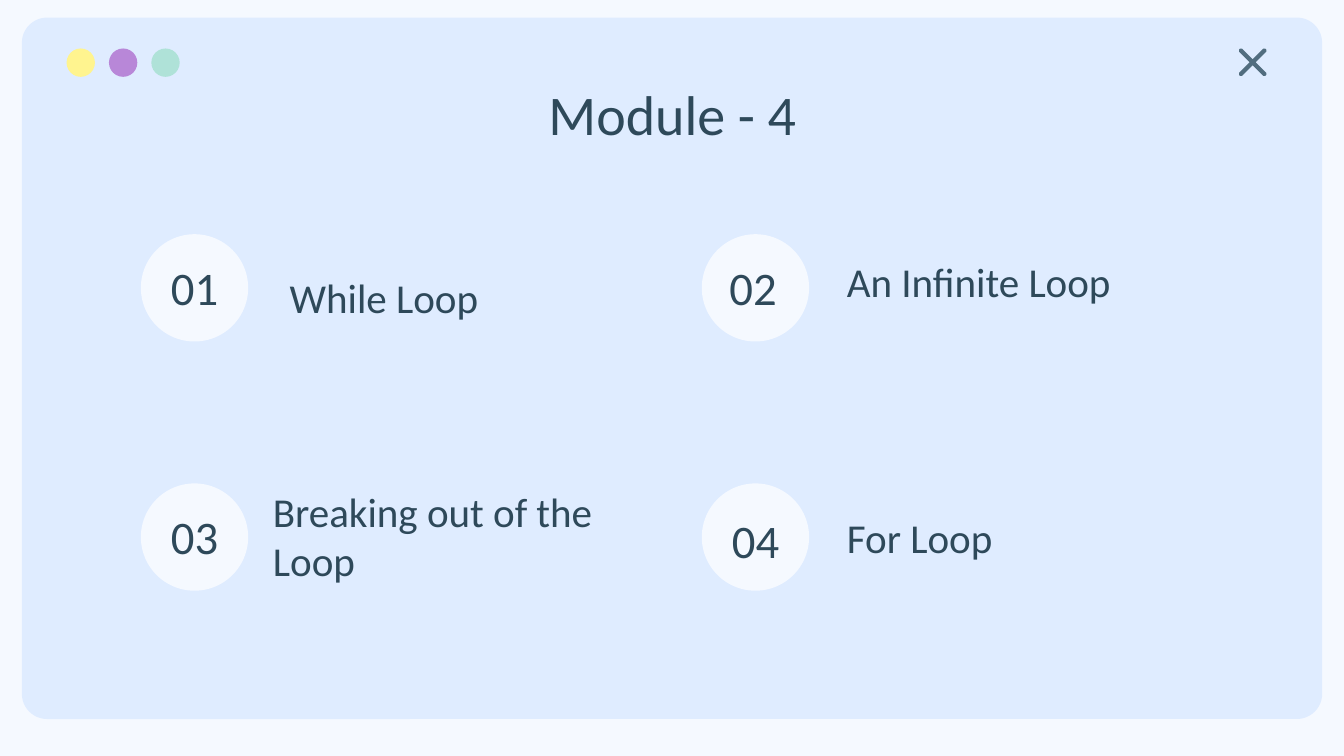
import pptx
import pptx.dml.color
import pptx.enum.shapes
import pptx.enum.text
import pptx.oxml.ns
import pptx.util
from lxml import etree

Pt = pptx.util.Pt
SHAPE = pptx.enum.shapes.MSO_SHAPE
ANCHOR = pptx.enum.text.MSO_ANCHOR
ALIGN = pptx.enum.text.PP_ALIGN

COLORS = {
    "page": "F5F9FF",
    "window": "DFECFF",
    "yellow": "FFF48F",
    "purple": "B887D8",
    "mint": "AFE2D8",
    "cross": "516D7F",
    "text": "2E495A",
}
FONT = "Calibri"
INSET = 7.2
COLUMNS = (75.5, 376)
ROWS = (125.5, 259)
CIRCLE_SIZE = 57.5

# Each topic: label, label box relative to its circle, number drop, number left inset
TOPICS = (
    ("While Loop", (72.5, 4.5, 204.5, 49.5), 0, INSET),
    ("An Infinite Loop", (70.5, 13, 232.5, 32.5), 0, 4.5),
    ("Breaking out of the Loop", (63.5, -6, 222, 67.5), 0, INSET),
    ("For Loop", (70.5, -39, 232.5, 88), 2, INSET),
)


def rgb(name):
    return pptx.dml.color.RGBColor.from_string(COLORS[name])


def add_filled(page, kind, bounds, color):
    shape = page.shapes.add_shape(kind, *map(Pt, bounds))
    shape.shadow.inherit = False
    shape.fill.solid()
    shape.fill.fore_color.rgb = rgb(color)
    shape.line.fill.background()
    return shape


def write_text(box, bounds, text, size, anchor, align, left_inset=INSET):
    box.left, box.top, box.width, box.height = map(Pt, bounds)
    frame = box.text_frame
    frame.word_wrap = True
    frame.auto_size = pptx.enum.text.MSO_AUTO_SIZE.NONE
    frame.vertical_anchor = anchor
    frame.margin_left = Pt(left_inset)
    frame.margin_right = frame.margin_top = frame.margin_bottom = Pt(INSET)
    frame.text = text
    para = frame.paragraphs[0]
    properties = para._p.get_or_add_pPr()
    properties.set("marL", "0")
    properties.set("indent", "0")
    etree.SubElement(properties, pptx.oxml.ns.qn("a:buNone"))
    para.alignment = align
    para.space_before = Pt(0)
    para.font.name = FONT
    para.font.size = Pt(size)
    para.font.bold = False
    para.font.color.rgb = rgb("text")


def bring_to_front(page, box):
    page.shapes.element.append(box.element)


def add_window(page, left, top, width, height):
    window = add_filled(page, SHAPE.ROUNDED_RECTANGLE, (left, top, width, height), "window")
    window.adjustments[0] = 0.036
    for index, color in enumerate(("yellow", "purple", "mint")):
        dot = (left + 24 + 22.7 * index, top + 16.6, 15.2, 15.2)
        add_filled(page, SHAPE.OVAL, dot, color)
    cross = add_filled(
        page, SHAPE.MATH_MULTIPLY, (left + width - 49.7, top + 11.5, 25, 25), "cross"
    )
    cross.adjustments[0] = 0.031
    cross.line.color.rgb = rgb("cross")
    cross.line.width = Pt(1.5)


def add_title(page, bounds):
    title = page.shapes.title
    write_text(title, bounds, "Module - 4", 30, ANCHOR.TOP, ALIGN.CENTER)
    bring_to_front(page, title)


def add_topic(page, label_box, left, top, number, topic):
    label, (dx, dy, width, height), drop, left_inset = topic
    add_filled(page, SHAPE.OVAL, (left, top, CIRCLE_SIZE, CIRCLE_SIZE), "page")
    bounds = (left - 2, top + 8 + drop, 61.5, 40)
    number_box = page.shapes.add_textbox(*map(Pt, bounds))
    write_text(
        number_box, bounds, f"{number:02}", 25, ANCHOR.MIDDLE, ALIGN.CENTER, left_inset
    )
    bounds = (left + dx, top + dy, width, height)
    write_text(label_box, bounds, label, 22, ANCHOR.BOTTOM, ALIGN.LEFT)
    bring_to_front(page, label_box)


def main():
    deck = pptx.Presentation()
    deck.slide_width, deck.slide_height = Pt(720), Pt(405)
    page = deck.slides.add_slide(deck.slide_layouts.get_by_name("Comparison"))
    page.background.fill.solid()
    page.background.fill.fore_color.rgb = rgb("page")
    label_boxes = [box for box in page.placeholders if box.placeholder_format.idx > 0]

    add_window(page, 11.7, 9.4, 696.6, 375.8)
    add_title(page, (56.7, 35.3, 607, 45.4))
    for index, (label_box, topic) in enumerate(zip(label_boxes, TOPICS)):
        row, column = divmod(index, 2)
        add_topic(page, label_box, COLUMNS[column], ROWS[row], index + 1, topic)

    deck.save("out.pptx")


if __name__ == "__main__":
    main()
